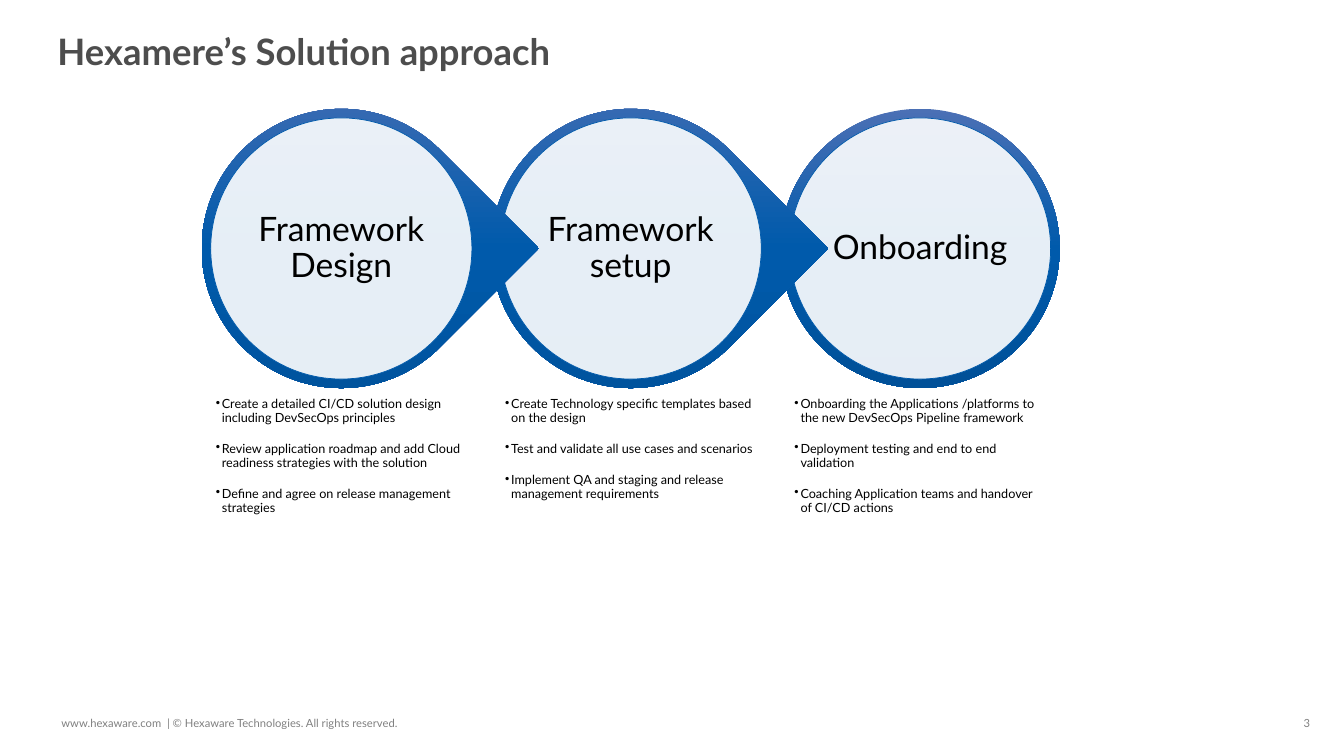
from dataclasses import dataclass

import pptx
import pptx.dml.color
import pptx.enum.shapes
import pptx.enum.text
import pptx.oxml
import pptx.oxml.ns
import pptx.util
from lxml import etree

Inches = pptx.util.Inches
Pt = pptx.util.Pt
qn = pptx.oxml.ns.qn
ShapeKind = pptx.enum.shapes.MSO_SHAPE
Anchor = pptx.enum.text.MSO_ANCHOR
Align = pptx.enum.text.PP_ALIGN


@dataclass(frozen=True)
class Theme:
    font: str = "Lato"
    title_color: str = "4D4D4D"
    footer_color: str = "808080"
    text_color: str = "000000"
    disc_color: str = "FFFFFF"
    outline: str = "005AAB"
    ring_stops: tuple = ((0, "4B70B5"), (50, "005AAB"), (100, "005098"))
    title_size: int = 26
    stage_size: int = 24
    bullet_size: int = 9
    footer_size: int = 8


THEME = Theme()

STAGES = [
    ("Framework Design", [
        "Create a detailed CI/CD solution design including DevSecOps principles",
        "Review application roadmap and add Cloud readiness strategies with the solution",
        "Define and agree on release management strategies",
    ]),
    ("Framework setup", [
        "Create Technology specific templates based on the design",
        "Test and validate all use cases and scenarios",
        "Implement QA and staging and release management requirements",
    ]),
    ("Onboarding", [
        "Onboarding the Applications /platforms to the new DevSecOps Pipeline framework",
        "Deployment testing and end to end validation",
        "Coaching Application teams and handover of CI/CD actions",
    ]),
]


def rgb(value):
    return pptx.dml.color.RGBColor.from_string(value)


def add_text_frame(page, left, top, width, height, inset=0.0):
    box = page.shapes.add_textbox(Inches(left), Inches(top), Inches(width), Inches(height))
    frame = box.text_frame
    frame.word_wrap = True
    frame.margin_left = frame.margin_right = Inches(inset)
    frame.margin_top = frame.margin_bottom = Inches(inset)
    return frame


def add_span(para, text, size, color, bold=False):
    span = para.add_run()
    span.text = text
    span.font.name = THEME.font
    span.font.size = Pt(size)
    span.font.bold = bold
    span.font.color.rgb = rgb(color)


def add_bullet(para, indent):
    properties = para._p.get_or_add_pPr()
    properties.set("marL", str(Inches(indent)))
    properties.set("indent", str(-Inches(indent)))
    etree.SubElement(properties, qn("a:buChar")).set("char", "•")


def fill_gradient(shape, stops):
    """Fill from top to bottom, whatever the rotation of the shape."""
    shape.fill.gradient()
    gradient = shape._element.spPr.find(qn("a:gradFill"))
    gradient.set("rotWithShape", "0")
    stop_list = gradient.find(qn("a:gsLst"))
    for stop in list(stop_list):
        stop_list.remove(stop)
    for position, color in stops:
        stop = etree.SubElement(stop_list, qn("a:gs"))
        stop.set("pos", str(position * 1000))
        etree.SubElement(stop, qn("a:srgbClr")).set("val", color)
    shape.fill.gradient_angle = 270


def add_round_shape(page, kind, left, top, size):
    shape = page.shapes.add_shape(kind, Inches(left), Inches(top), Inches(size), Inches(size))
    shape.shadow.inherit = False
    return shape


def add_ring(page, left, top, size, pointed):
    kind = ShapeKind.TEAR if pointed else ShapeKind.OVAL
    ring = add_round_shape(page, kind, left, top, size)
    ring.rotation = 45 if pointed else 0
    ring.line.fill.background()
    fill_gradient(ring, THEME.ring_stops)


def add_disc(page, left, top, size):
    disc = add_round_shape(page, ShapeKind.OVAL, left, top, size)
    disc.fill.solid()
    disc.fill.fore_color.rgb = rgb(THEME.disc_color)
    color = disc._element.spPr.find(qn("a:solidFill")).find(qn("a:srgbClr"))
    etree.SubElement(color, qn("a:alpha")).set("val", "90000")
    disc.line.color.rgb = rgb(THEME.outline)
    disc.line.width = Pt(0.5)


def add_stage(page, left, top, size, name, points, pointed):
    """Ring, disc and name, with the bullet list below."""
    rim, label_inset = 0.09, 0.46
    disc_size = size - 2 * rim
    label_size = size - 2 * label_inset
    add_ring(page, left, top, size, pointed)
    add_disc(page, left + rim, top + rim, disc_size)

    label = add_text_frame(page, left + label_inset, top + label_inset,
                           label_size, label_size, 0.03)
    label.vertical_anchor = Anchor.MIDDLE
    para = label.paragraphs[0]
    para.alignment = Align.CENTER
    para.line_spacing = 0.9
    add_span(para, name, THEME.stage_size, THEME.text_color)

    bullets = add_text_frame(page, left + rim, top + size + 0.05, disc_size, 1.52, 0.05)
    for index, point in enumerate(points):
        para = bullets.add_paragraph() if index else bullets.paragraphs[0]
        add_bullet(para, 0.06)
        para.line_spacing = 0.9
        para.space_after = Pt(12.5)
        add_span(para, point, THEME.bullet_size, THEME.text_color)


def add_process(page, left, top, size, pitch):
    # Later stages lie behind, so each point overlaps the next ring.
    for index, (name, points) in reversed(list(enumerate(STAGES))):
        pointed = index < len(STAGES) - 1
        add_stage(page, left + index * pitch, top, size, name, points, pointed)


def add_title(page, left, top, width, height):
    para = add_text_frame(page, left, top, width, height, 0.05).paragraphs[0]
    para.line_spacing = 0.9
    add_span(para, "Hexamere’s Solution approach", THEME.title_size, THEME.title_color, True)


def add_footer(page, left, top, height):
    notice = "www.hexaware.com  | © Hexaware Technologies. All rights reserved."
    for start, width, text in ((left, 4.47, notice), (12.93, 0.3, "3")):
        frame = add_text_frame(page, start, top, width, height)
        add_span(frame.paragraphs[0], text, THEME.footer_size, THEME.footer_color)


def main():
    deck = pptx.Presentation()
    deck.slide_width = Inches(13.33)
    deck.slide_height = Inches(7.5)
    page = deck.slides.add_slide(deck.slide_layouts[6])
    add_footer(page, 0.61, 7.11, 0.13)
    add_title(page, 0.52, 0.29, 9.75, 0.49)
    add_process(page, 2, 1.08, 2.77, 2.87)
    deck.save("out.pptx")


if __name__ == "__main__":
    main()
